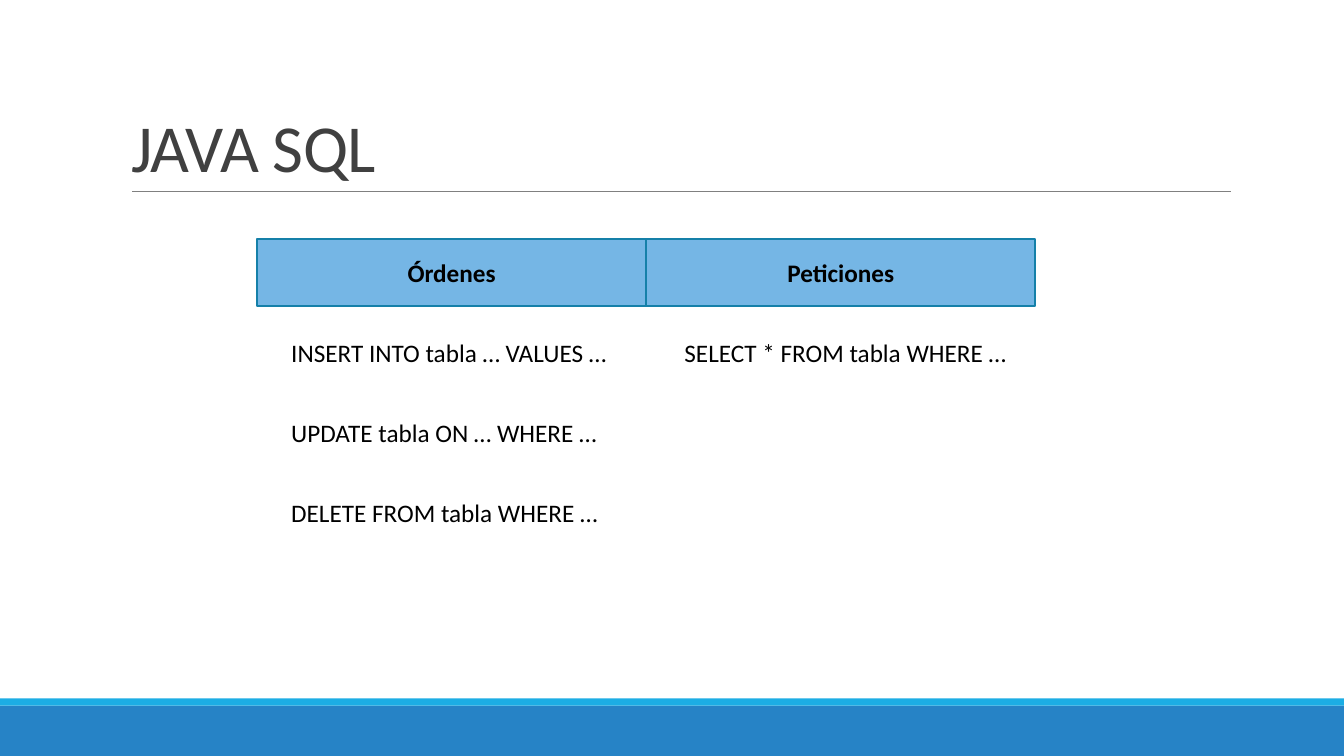
from pptx import Presentation
from pptx import util as u
from pptx.dml.color import RGBColor
from pptx.enum import shapes, text

COLOURS = {
    "footer": "2683C6",
    "stripe": "1CADE4",
    "rule": "808080",
    "title": "404040",
    "header": "75B6E5",
    "border": "1580A9",
    "text": "000000",
}


def add_bar(page, left, top, width, height, colour):
    """Add a plain filled rectangle and return it."""
    bar = page.shapes.add_shape(
        shapes.MSO_SHAPE.RECTANGLE,
        u.Inches(left), u.Inches(top), u.Inches(width), u.Inches(height))
    bar.shadow.inherit = False
    bar.fill.solid()
    bar.fill.fore_color.rgb = RGBColor.from_string(COLOURS[colour])
    bar.line.fill.background()
    return bar


def style(paragraph, size, colour, bold=False):
    """Set the font of a whole paragraph."""
    font = paragraph.font
    font.name, font.size, font.bold = "Calibri", u.Pt(size), bold
    font.color.rgb = RGBColor.from_string(COLOURS[colour])


deck = Presentation()
deck.slide_width, deck.slide_height = u.Inches(13.33), u.Inches(7.5)
page = deck.slides.add_slide(deck.slide_layouts[5])

# Footer bands and the rule under the title
add_bar(page, 0, 7, 13.33, 0.5, "footer")
add_bar(page, 0, 6.93, 13.33, 0.07, "stripe")
rule = page.shapes.add_connector(
    shapes.MSO_CONNECTOR.STRAIGHT,
    u.Inches(1.31), u.Inches(1.9), u.Inches(12.21), u.Inches(1.9))
rule.line.color.rgb = RGBColor.from_string(COLOURS["rule"])
rule.line.width = u.Pt(0.5)
properties = rule._element.spPr
properties.append(properties.makeelement(
    "{http://schemas.openxmlformats.org/drawingml/2006/main}effectLst", {}))

# Title
title = page.shapes.title
title.left, title.top = u.Inches(1.2), u.Inches(0.31)
title.width, title.height = u.Inches(11), u.Inches(1.59)
title.text_frame.text = "JAVA SQL"
title.text_frame.vertical_anchor = text.MSO_ANCHOR.BOTTOM
heading = title.text_frame.paragraphs[0]
heading.alignment = text.PP_ALIGN.LEFT
heading.line_spacing = 0.85
style(heading, 48, "title")
heading.runs[0].font._element.set("spc", "-50")

# Two columns: header, left edge of the statements, statements
columns = [
    ("Órdenes", 2.79, ["INSERT INTO tabla … VALUES …",
                       "UPDATE tabla ON … WHERE …",
                       "DELETE FROM tabla WHERE …"]),
    ("Peticiones", 6.69, ["SELECT * FROM tabla WHERE …"]),
]
header_width, row_step = 3.86, 0.79
for column, (name, left, statements) in enumerate(columns):
    header = add_bar(page, 2.55 + column * header_width, 2.37,
                     header_width, 0.67, "header")
    header.line.color.rgb = RGBColor.from_string(COLOURS["border"])
    header.line.width = u.Pt(1.25)
    header.text_frame.text = name
    header.text_frame.vertical_anchor = text.MSO_ANCHOR.MIDDLE
    label = header.text_frame.paragraphs[0]
    label.alignment = text.PP_ALIGN.CENTER
    style(label, 18, "text", bold=True)
    for row, statement in enumerate(statements):
        box = page.shapes.add_textbox(
            u.Inches(left), u.Inches(3.3 + row * row_step),
            u.Inches(3.5), u.Inches(0.4))
        box.text_frame.word_wrap = True
        box.text_frame.text = statement
        style(box.text_frame.paragraphs[0], 18, "text")

deck.save("out.pptx")
